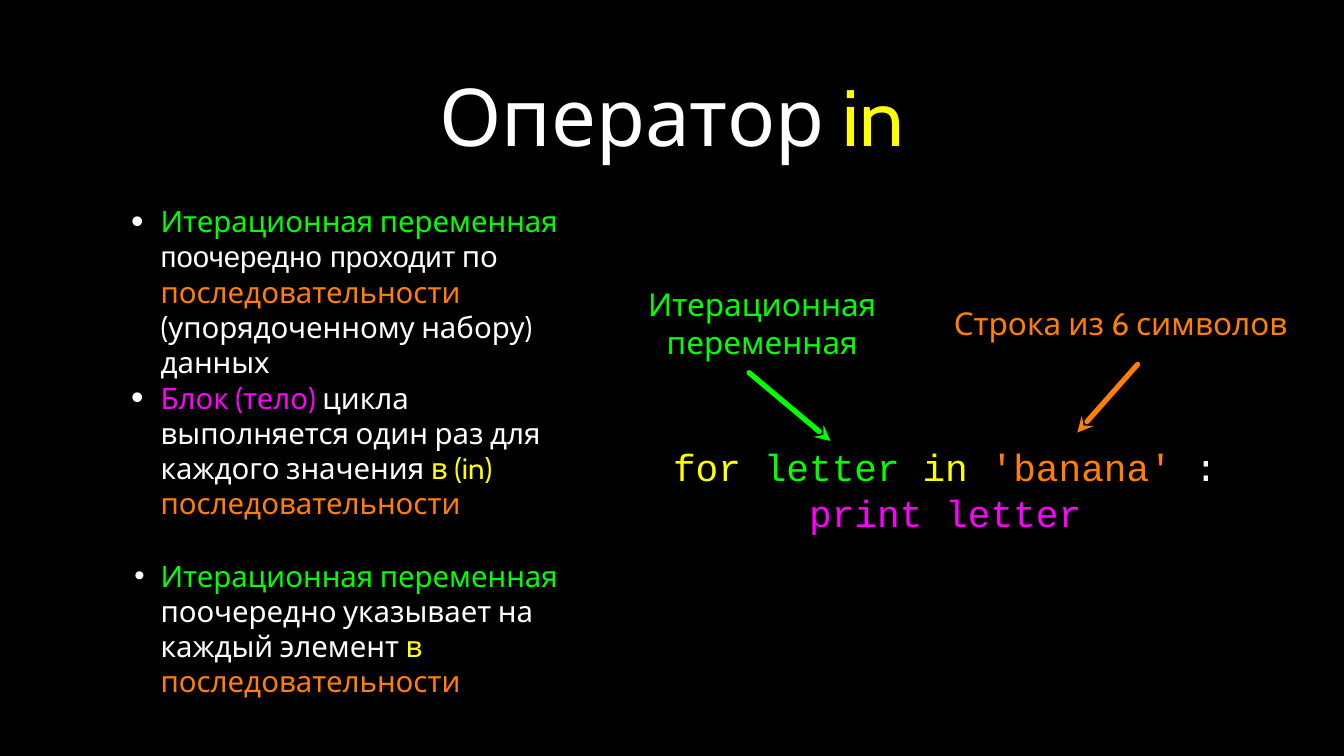
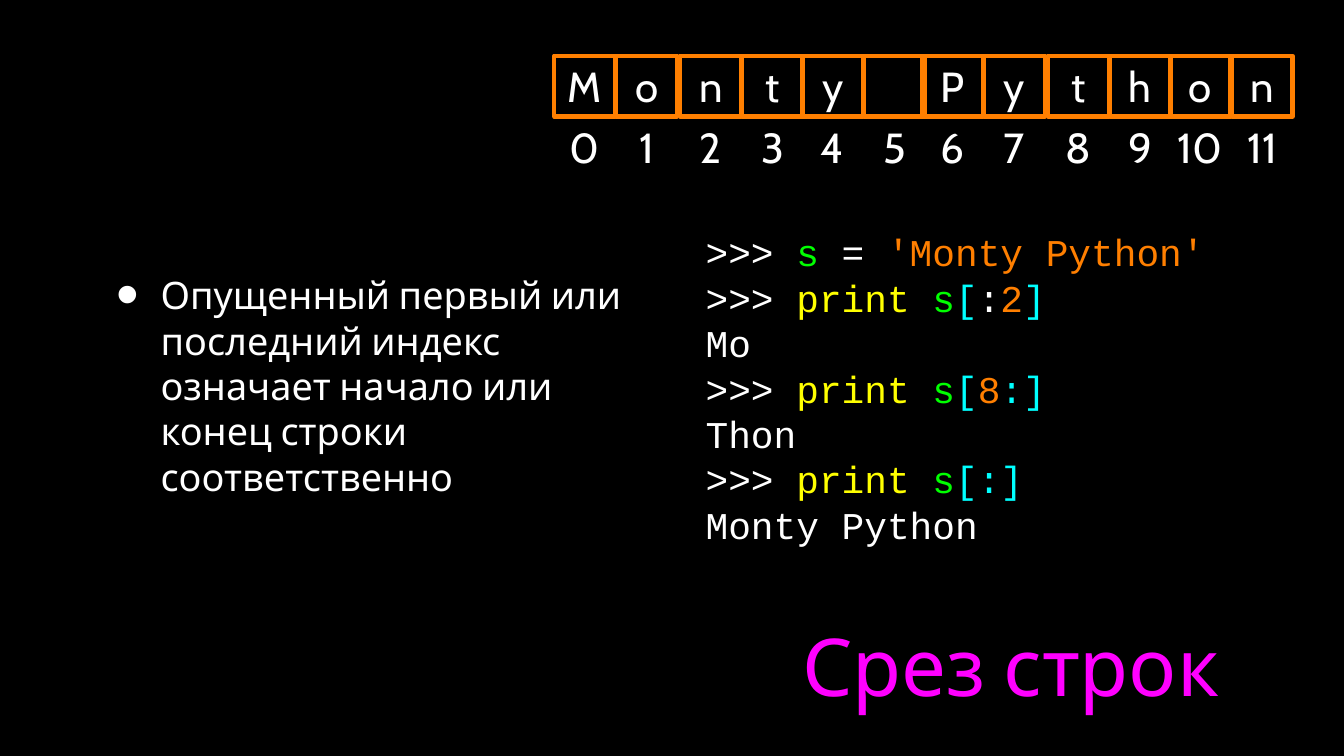
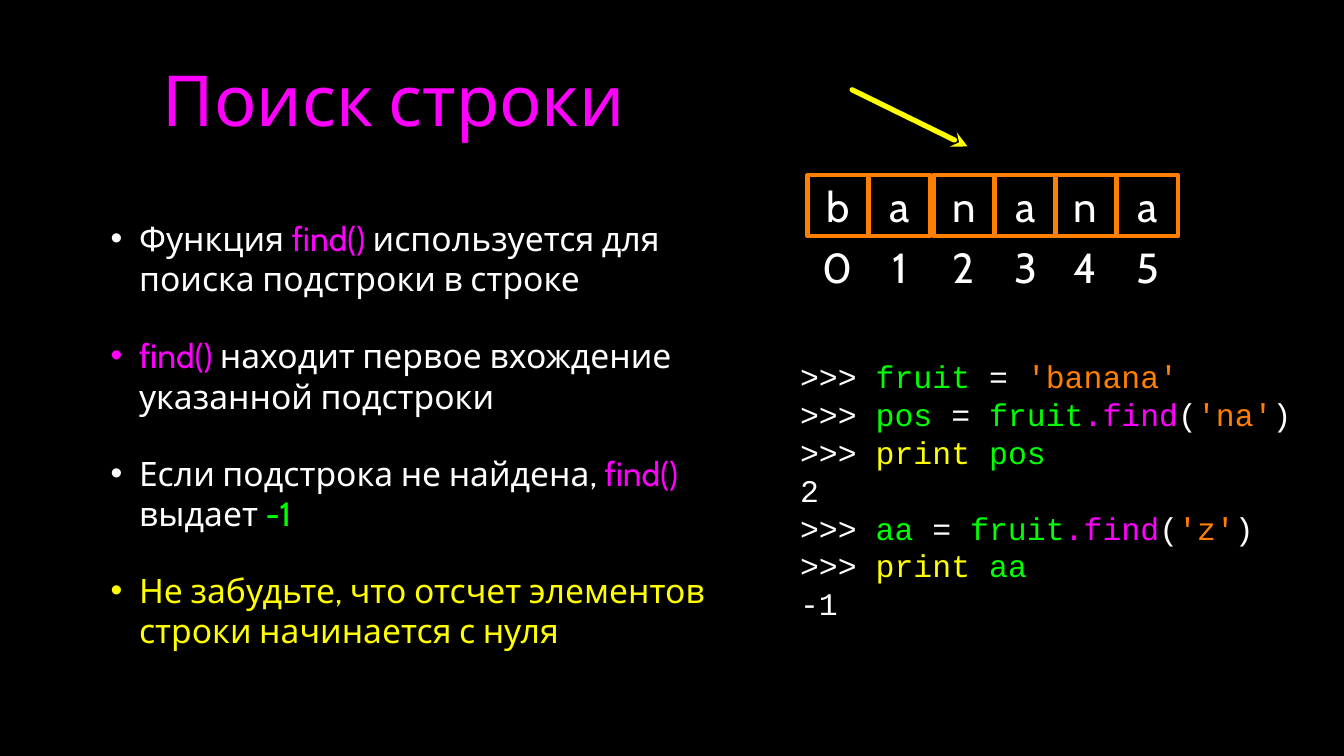
from lxml.etree import SubElement
from pptx import Presentation
from pptx.dml.color import RGBColor
from pptx.enum.shapes import MSO_CONNECTOR, MSO_SHAPE
from pptx.enum.text import MSO_ANCHOR, PP_ALIGN
from pptx.oxml.ns import qn
from pptx.util import Pt

BLACK, WHITE, YELLOW, GREEN = "000000", "FFFFFF", "FFFF00", "00FF00"
ORANGE, MAGENTA, CYAN = "FF7F00", "FF00FF", "00FFFF"
TEXT_FONT, CODE_FONT, PLAIN_FONT = "Cabin", "Courier New", "Arial"
CELL = 58
CELL_OFFSETS = [0, 59, 120, 179, 236, 295]
CELL_GROUP = 350


def write_text(shape, paragraphs, size, font=TEXT_FONT, alignment=PP_ALIGN.CENTER, margin=0, bullets=()):
    frame = shape.text_frame
    frame.word_wrap = True
    frame.vertical_anchor = MSO_ANCHOR.MIDDLE
    frame.margin_left = frame.margin_right = frame.margin_top = frame.margin_bottom = Pt(margin)
    for index, runs in enumerate(paragraphs):
        paragraph = frame.add_paragraph() if index else frame.paragraphs[0]
        paragraph.alignment = alignment
        if bullets:
            colour, percent, hanging, space_before = bullets[index]
            properties = paragraph._p.get_or_add_pPr()
            properties.set("marL", str(Pt(59)))
            properties.set("indent", str(-Pt(hanging)))
            if space_before:
                paragraph.space_before = Pt(space_before)
            bullet_colour = SubElement(properties, qn("a:buClr"))
            SubElement(bullet_colour, qn("a:srgbClr"), val=colour)
            SubElement(properties, qn("a:buSzPct"), val=str(percent * 1000))
            SubElement(properties, qn("a:buFont"), typeface=PLAIN_FONT)
            SubElement(properties, qn("a:buChar"), char="•")
        first_colour = runs[0][1]
        paragraph.font.size = Pt(size)
        paragraph.font.name = font
        paragraph.font.color.rgb = RGBColor.from_string(first_colour)
        for text, colour, *run_font in runs:
            run = paragraph.add_run()
            run.text = text
            if colour != first_colour:
                run.font.color.rgb = RGBColor.from_string(colour)
            if run_font:
                run.font.name = run_font[0]


presentation = Presentation()
presentation.slide_width = Pt(1280)
presentation.slide_height = Pt(720)
slides = []
for number in range(3):
    slide = presentation.slides.add_slide(presentation.slide_layouts[6])
    slide.background.fill.solid()
    slide.background.fill.fore_color.rgb = RGBColor.from_string(BLACK)
    slides.append(slide)
operator_slide, slice_slide, search_slide = slides

titles = [
    (operator_slide, (91, 19, 1097, 181), 76, [("Оператор ", WHITE), ("in", YELLOW)]),
    (slice_slide, (700, 557, 526, 151), 76, [("Срез строк", MAGENTA)]),
    (search_slide, (48, 19, 654, 149), 67, [("Поиск строки", MAGENTA)]),
]
for slide, box, size, runs in titles:
    write_text(slide.shapes.add_textbox(*map(Pt, box)), [runs], size, margin=3)

lists = [
    (operator_slide, (91, 205, 471, 449), 28,
     [(WHITE, 121, 28, 0), (WHITE, 121, 28, 0), (WHITE, 100, 25, 35)],
     [
         [("Итерационная переменная ", GREEN), ("поочередно проходит", WHITE, PLAIN_FONT),
          (" по ", WHITE), ("последовательности ", ORANGE),
          ("(упорядоченному набору) данных", WHITE)],
         [("Блок (тело)", MAGENTA), (" цикла выполняется один раз для каждого значения ", WHITE),
          ("в (in) ", YELLOW), ("последовательности", ORANGE)],
         [("Итерационная переменная", GREEN), (" поочередно указывает на каждый элемент ", WHITE),
          ("в ", YELLOW), ("последовательности", ORANGE)],
     ]),
    (slice_slide, (91, 205, 507, 324), 36,
     [(WHITE, 171, 42, 0)],
     [[("Опущенный первый или последний индекс означает начало или конец строки соответственно", WHITE)]]),
    (search_slide, (70.5, 173, 607, 481), 32,
     [(WHITE, 100, 27, 0), (MAGENTA, 100, 27, 35), (WHITE, 100, 27, 35), (YELLOW, 100, 27, 35)],
     [
         [("Функция", WHITE), (" find()", MAGENTA), (" используется для поиска подстроки в строке", WHITE)],
         [("find() ", MAGENTA), ("находит первое вхождение указанной подстроки", WHITE)],
         [("Если подстрока не найдена, ", WHITE), ("find() ", MAGENTA), ("выдает ", WHITE), ("-1", GREEN)],
         [("Не забудьте, что отсчет элементов строки начинается с нуля", YELLOW)],
     ]),
]
for slide, box, size, bullets, paragraphs in lists:
    write_text(slide.shapes.add_textbox(*map(Pt, box)), paragraphs, size,
               alignment=PP_ALIGN.LEFT, margin=3, bullets=bullets)

prompt = (">>> ", WHITE)
print_word = ("print ", YELLOW)
listings = [
    (operator_slide, (641, 412, 567, 108), 36, [
        [("for ", YELLOW), ("letter ", GREEN), ("in ", YELLOW), ("'banana' ", ORANGE), (":", WHITE)],
        [("      print letter", MAGENTA)],
    ]),
    (slice_slide, (672, 217, 541, 305), 36, [
        [prompt, ("s", GREEN), (" = ", WHITE), ("'Monty Python'", ORANGE)],
        [prompt, print_word, ("s", GREEN), ("[", CYAN), (":", WHITE), ("2", ORANGE), ("]", CYAN)],
        [("Mo", WHITE)],
        [prompt, print_word, ("s", GREEN), ("[", CYAN), ("8", ORANGE), (":]", CYAN)],
        [("Thon", WHITE)],
        [prompt, print_word, ("s", GREEN), ("[:]", CYAN)],
        [("Monty Python", WHITE)],
    ]),
    (search_slide, (762, 314, 492, 305), 30, [
        [prompt, ("fruit ", GREEN), ("=", WHITE), (" 'banana'", ORANGE)],
        [prompt, ("pos ", GREEN), ("=", WHITE), (" fruit", GREEN), (".find", MAGENTA),
         ("(", WHITE), ("'na'", ORANGE), (")", WHITE)],
        [prompt, print_word, ("pos", GREEN)],
        [("2", WHITE)],
        [prompt, ("aa ", GREEN), ("= ", WHITE), ("fruit", GREEN), (".find", MAGENTA),
         ("(", WHITE), ("'z'", ORANGE), (")", WHITE)],
        [prompt, print_word, ("aa", GREEN)],
        [("-1", WHITE)],
    ]),
]
for slide, box, size, paragraphs in listings:
    write_text(slide.shapes.add_textbox(*map(Pt, box)), paragraphs, size, CODE_FONT, PP_ALIGN.LEFT)

labels = [(598, 256, "Итерационная переменная", GREEN), (883, 369, "Строка из 6 символов", ORANGE)]
for left, width, text, colour in labels:
    label = operator_slide.shapes.add_textbox(Pt(left), Pt(283), Pt(width), Pt(49))
    write_text(label, [[(text, colour)]], 30)

arrows = [
    (operator_slide, (791, 420, 713.5, 355), GREEN),
    (operator_slide, (1026, 412, 1083.5, 347), ORANGE),
    (search_slide, (921.5, 139.5, 811.5, 85.5), YELLOW),
]
for slide, ends, colour in arrows:
    arrow = slide.shapes.add_connector(MSO_CONNECTOR.STRAIGHT, *map(Pt, ends))
    arrow.line.color.rgb = RGBColor.from_string(colour)
    arrow.line.width = Pt(5)
    line = arrow.line._get_or_add_ln()
    line.set("cap", "rnd")
    SubElement(line, qn("a:headEnd"), type="stealth")
    SubElement(arrow._element.spPr, qn("a:effectLst"))

letter_rows = [(slice_slide, "Monty Python", 528, 53), (search_slide, "banana", 769, 167)]
for slide, word, row_left, row_top in letter_rows:
    for index, letter in enumerate(word):
        group, position = divmod(index, len(CELL_OFFSETS))
        left = row_left + group * CELL_GROUP + CELL_OFFSETS[position]
        index_label = slide.shapes.add_textbox(Pt(left), Pt(row_top + CELL), Pt(CELL), Pt(CELL))
        write_text(index_label, [[(str(index), WHITE)]], 40)
        cell = slide.shapes.add_shape(MSO_SHAPE.RECTANGLE, Pt(left), Pt(row_top), Pt(CELL), Pt(CELL))
        cell.shadow.inherit = False
        cell.fill.background()
        cell.line.color.rgb = RGBColor.from_string(ORANGE)
        cell.line.width = Pt(4)
        if letter != " ":
            write_text(cell, [[(letter, WHITE)]], 40)

presentation.save("out.pptx")
